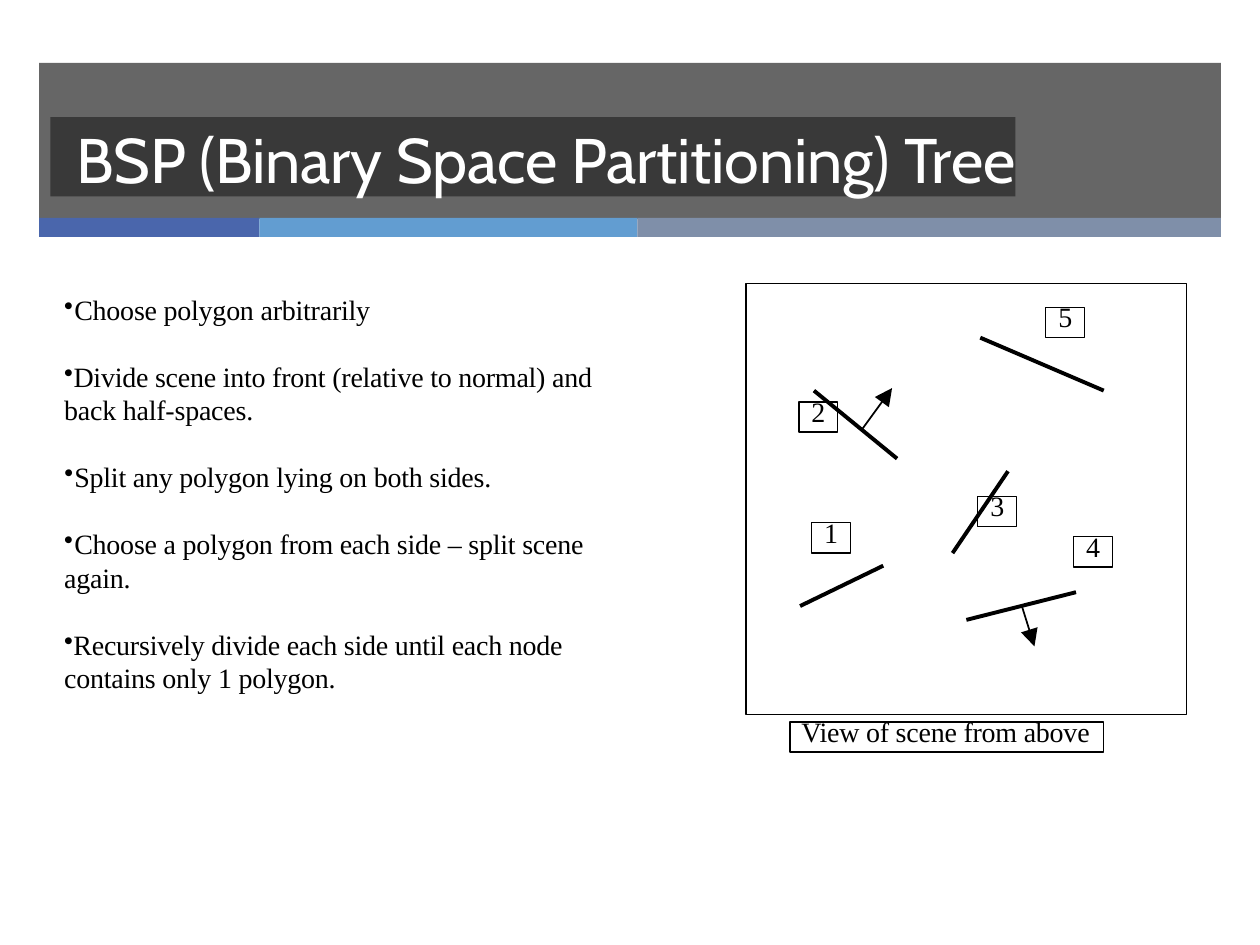
from dataclasses import dataclass

import pptx
import pptx.dml.color
import pptx.enum.shapes
import pptx.enum.text
import pptx.oxml.ns
import pptx.util
from lxml import etree
from pptx.util import Inches

ALIGN = pptx.enum.text.PP_ALIGN
ANCHOR = pptx.enum.text.MSO_ANCHOR


@dataclass(frozen=True)
class Theme:
    band: str = "262626"
    accents: tuple = ("4A66AC", "629DD1", "7F8FA9")
    ink: str = "000000"
    title_ink: str = "FFFFFF"
    title_font: str = "Cabin"
    body_font: str = "Times New Roman"
    title_size: float = 36
    body_size: float = 16
    outline: float = 0.75
    polygon: float = 2.25
    normal: float = 1


def rgb(value):
    return pptx.dml.color.RGBColor.from_string(value)


def add_xml(parent, tag, **attributes):
    return etree.SubElement(parent, pptx.oxml.ns.qn(tag), **attributes)


class SlideBuilder:
    def __init__(self, slide, theme):
        self.slide = slide
        self.theme = theme

    def rect(self, left, top, width, height, fill=None, opacity=None):
        """Draw a filled rectangle, or an outlined one when no fill is given."""
        shape = self.slide.shapes.add_shape(
            pptx.enum.shapes.MSO_SHAPE.RECTANGLE,
            Inches(left), Inches(top), Inches(width), Inches(height))
        shape.shadow.inherit = False
        if fill is None:
            shape.fill.background()
            shape.line.color.rgb = rgb(self.theme.ink)
            shape.line.width = pptx.util.Pt(self.theme.outline)
            return shape
        shape.fill.solid()
        shape.fill.fore_color.rgb = rgb(fill)
        shape.line.fill.background()
        if opacity is not None:
            color = shape.fill._xPr.find(".//" + pptx.oxml.ns.qn("a:srgbClr"))
            add_xml(color, "a:alpha", val=str(opacity * 1000))
        return shape

    def frame(self, shape, anchor):
        frame = shape.text_frame
        frame.word_wrap = True
        frame.vertical_anchor = anchor
        frame.margin_left = frame.margin_right = frame.margin_bottom = 0
        frame.margin_top = Inches(0.02)
        return frame

    def run(self, paragraph, text, font, size, color):
        run = paragraph.add_run()
        run.text = text
        run.font.name = font
        run.font.size = pptx.util.Pt(size)
        run.font.color.rgb = rgb(color)
        run.font._element.set("spc", "-10")

    def title(self, text, left, top, width, height):
        bar = self.rect(left, top, width, height, self.theme.band, 70)
        paragraph = self.frame(bar, ANCHOR.MIDDLE).paragraphs[0]
        paragraph.alignment = ALIGN.RIGHT
        self.run(paragraph, text, self.theme.title_font,
                 self.theme.title_size, self.theme.title_ink)

    def text(self, lines, left, top, width, height, bullet=False, hanging=False):
        """Write one paragraph per line; only the first can carry a bullet."""
        box = self.slide.shapes.add_textbox(
            Inches(left), Inches(top), Inches(width), Inches(height))
        frame = self.frame(box, ANCHOR.TOP)
        for index, line in enumerate(lines):
            paragraph = frame.add_paragraph() if index else frame.paragraphs[0]
            paragraph.alignment = ALIGN.LEFT
            if bullet:
                hangs = hanging and index == 0
                properties = paragraph._p.get_or_add_pPr()
                properties.set("marL", str(Inches(0.09 if hangs else 0.01)))
                properties.set("indent", str(Inches(-0.08 if hangs else 0)))
                if index == 0:
                    add_xml(properties, "a:buSzPct", val="94000")
                    add_xml(properties, "a:buChar", char="•")
            self.run(paragraph, line, self.theme.body_font,
                     self.theme.body_size, self.theme.ink)

    def line(self, start, end, weight, arrow=False):
        line = self.slide.shapes.add_connector(
            pptx.enum.shapes.MSO_CONNECTOR.STRAIGHT,
            *(Inches(value) for value in (*start, *end)))
        line.line.color.rgb = rgb(self.theme.ink)
        line.line.width = pptx.util.Pt(weight)
        if arrow:
            add_xml(line.line._get_or_add_ln(), "a:tailEnd",
                    type="triangle", w="lg", len="lg")
        add_xml(line._element.spPr, "a:effectLst")

    def polygon_number(self, number, left, top):
        self.rect(left, top, 0.31, 0.24)
        self.text([number], left + 0.1, top - 0.08, 0.12, 0.29)


STEPS = [  # lines, top, width, height, hanging bullet
    (["Choose polygon arbitrarily"], 2.3, 2.5, 0.29, True),
    (["Divide scene into front (relative to normal) and back half-spaces."],
     2.83, 4.32, 0.56, False),
    (["Split any polygon lying on both sides."], 3.63, 3.49, 0.3, True),
    (["Choose a polygon from each side – split scene", "again."],
     4.16, 4.24, 0.56, True),
    (["Recursively divide each side until each node contains only 1 polygon."],
     4.96, 4.07, 0.56, False),
]
POLYGONS = [  # number, start, end, corner of the number box
    ("3", (8, 3.74), (7.56, 4.39), (7.76, 3.94)),
    ("4", (7.67, 4.92), (8.54, 4.7), (8.52, 4.26)),
    ("1", (7.01, 4.49), (6.35, 4.81), (6.44, 4.15)),
    ("2", (6.46, 3.1), (7.12, 3.64), (6.34, 3.19)),
    ("5", (7.78, 2.68), (8.76, 3.1), (8.3, 2.44)),
]
NORMALS = [((8.11, 4.81), (8.21, 5.13)), ((6.84, 3.41), (7.08, 3.08))]


def main():
    presentation = pptx.Presentation()
    presentation.slide_width = Inches(10)
    presentation.slide_height = Inches(7.5)
    theme = Theme()
    slide = presentation.slides.add_slide(presentation.slide_layouts[6])
    builder = SlideBuilder(slide, theme)

    builder.rect(0.31, 0.5, 9.38, 1.24, theme.band, 70)
    stripe_left = 0.31
    for color, width in zip(theme.accents, (1.75, 3, 4.63)):
        builder.rect(stripe_left, 1.73, width, 0.15, color)
        stripe_left += width
    builder.title("BSP (Binary Space Partitioning) Tree", 0.4, 0.93, 7.66, 0.63)

    for lines, top, width, height, hanging in STEPS:
        builder.text(lines, 0.5, top, width, height, bullet=True, hanging=hanging)

    builder.rect(5.92, 2.25, 3.5, 3.42)
    for _, start, end, _ in POLYGONS:
        builder.line(start, end, theme.polygon)
    for start, end in NORMALS:
        builder.line(start, end, theme.normal, arrow=True)
    for number, _, _, corner in POLYGONS:
        builder.polygon_number(number, *corner)

    builder.rect(6.27, 5.73, 2.49, 0.24)
    builder.text(["View of scene from above"], 6.36, 5.65, 2.35, 0.29)
    presentation.save("out.pptx")


if __name__ == "__main__":
    main()
